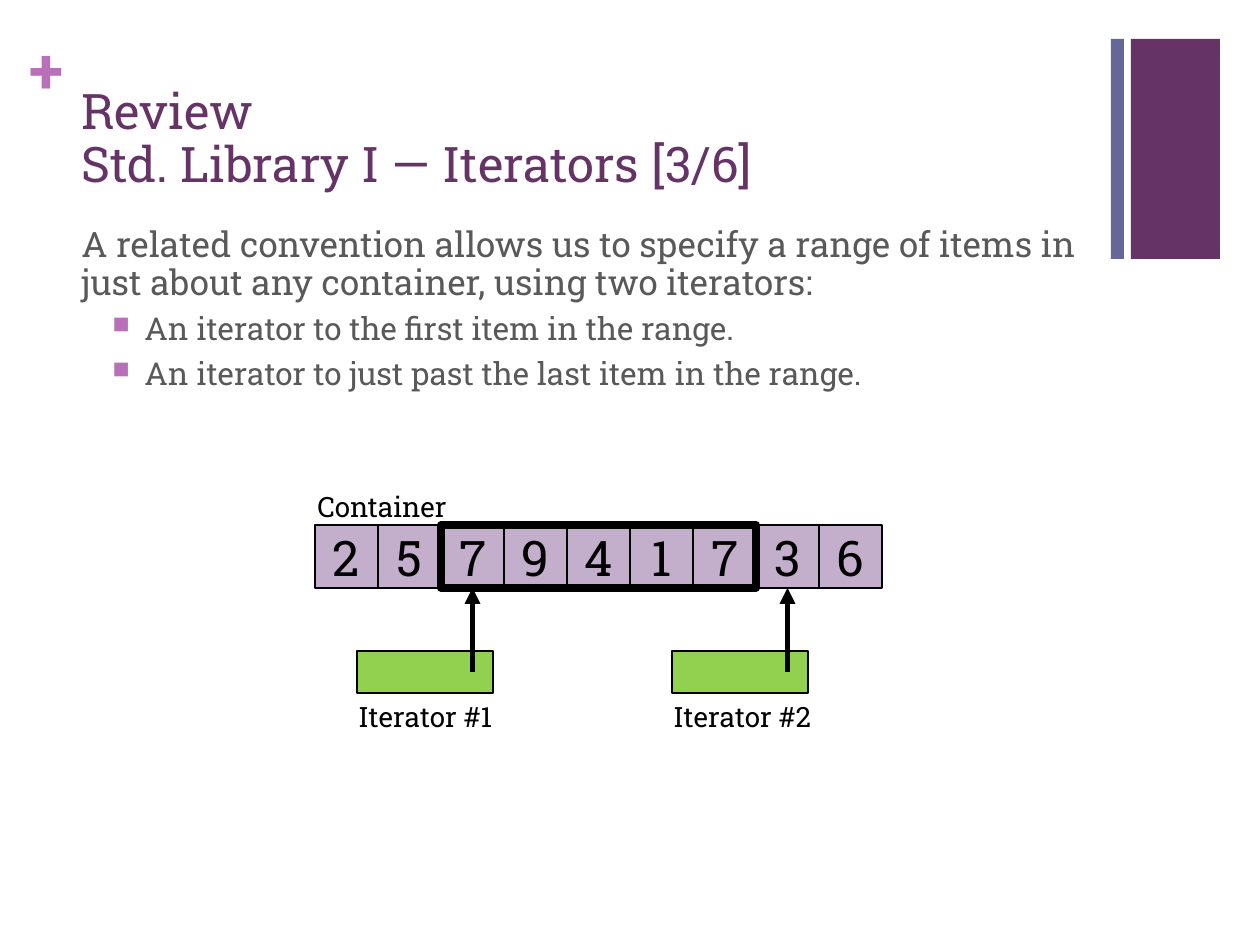
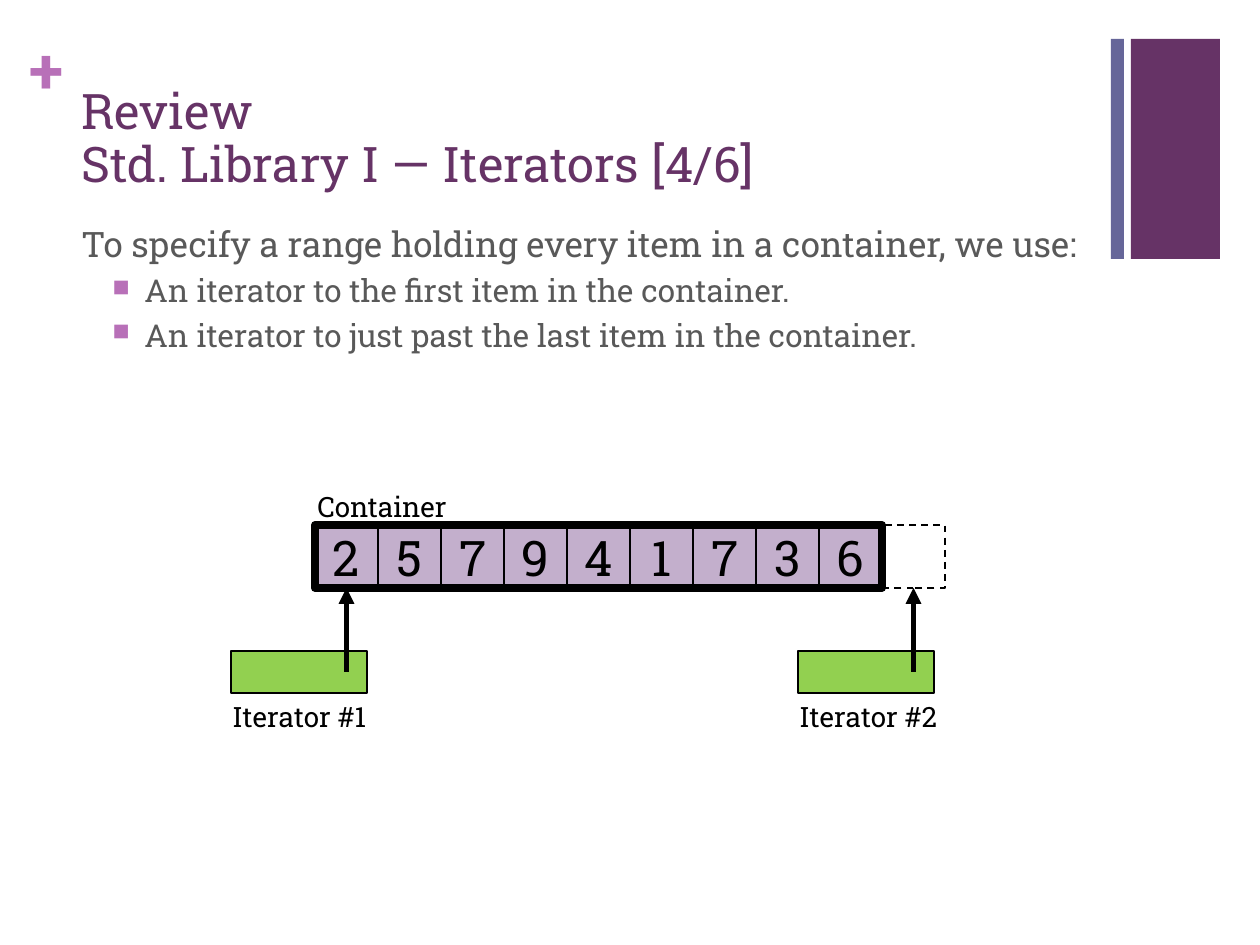
import dataclasses

import lxml.etree
import pptx
import pptx.dml.color
import pptx.enum.dml
import pptx.enum.shapes
import pptx.enum.text
import pptx.oxml
import pptx.oxml.ns
import pptx.util

PX_PER_INCH = 126
TITLE_ONLY = 5
VALUES = [2, 5, 7, 9, 4, 1, 7, 3, 6]
CELL = 63
ROW_LEFT, ROW_TOP = 315, 525


@dataclasses.dataclass(frozen=True)
class Theme:
    font: str = "Roboto Slab"
    purple: str = "663366"
    blue: str = "666699"
    accent: str = "B870B8"
    body: str = "595959"
    ink: str = "000000"
    cell: str = "C3AFCC"
    iterator: str = "92D050"
    plus_size: int = 36
    title_size: int = 28
    lead_size: int = 20
    bullet_size: int = 18
    label_size: int = 16
    thin: float = 1
    arrow: float = 3
    frame: float = 4.5
    line_spacing: float = 0.9


def px(n):
    return pptx.util.Emu(round(n * 914400 / PX_PER_INCH))


def rgb(color):
    return pptx.dml.color.RGBColor.from_string(color)


def add_xml(parent, tag, **attrs):
    return lxml.etree.SubElement(parent, pptx.oxml.ns.qn(tag), attrs)


class Deck:
    """Holds the theme and the slide being drawn; lengths are in px."""

    def __init__(self, theme):
        self.theme = theme
        self.prs = pptx.Presentation()
        self.prs.slide_width, self.prs.slide_height = px(1260), px(945)
        self.s = None

    def new_slide(self, *title_lines):
        t = self.theme
        self.s = self.prs.slides.add_slide(self.prs.slide_layouts[TITLE_ONLY])
        self.title(title_lines)
        self.rect(1131, 39, 89, 220, fill=t.purple)
        self.rect(1111, 39, 13, 220, fill=t.blue)
        tf = self.text_box(30, 31, 37, 77, inset=0)
        self.run(tf.paragraphs[0], "+", t.plus_size, t.accent, bold=True)

    def run(self, p, text, size, color, bold=False):
        r = p.add_run()
        r.text = text
        r.font.name = self.theme.font
        r.font.size = pptx.util.Pt(size)
        r.font.bold = bold
        r.font.color.rgb = rgb(color)

    def title(self, lines):
        sp = self.s.shapes.title
        sp.left, sp.top, sp.width, sp.height = px(69), px(67), px(1041), px(132)
        tf = sp.text_frame
        tf.word_wrap = True
        tf.auto_size = pptx.enum.text.MSO_AUTO_SIZE.NONE
        tf.vertical_anchor = pptx.enum.text.MSO_ANCHOR.BOTTOM
        p = tf.paragraphs[0]
        p.alignment = pptx.enum.text.PP_ALIGN.LEFT
        p.line_spacing = self.theme.line_spacing
        for i, line in enumerate(lines):
            if i:
                p.add_line_break()
            self.run(p, line, self.theme.title_size, self.theme.purple)

    def text_box(self, x, y, w, h, inset=None):
        tf = self.s.shapes.add_textbox(px(x), px(y), px(w), px(h)).text_frame
        tf.word_wrap = True
        if inset is not None:
            tf.margin_left = tf.margin_right = px(inset)
            tf.margin_top = tf.margin_bottom = px(inset)
        return tf

    def label(self, x, y, w, text):
        tf = self.text_box(x, y, w, 47)
        self.run(tf.paragraphs[0], text, self.theme.label_size, self.theme.ink)

    def body(self, lead, bullets):
        t = self.theme
        tf = self.text_box(69, 221, 1041, 651)
        p = tf.paragraphs[0]
        p.line_spacing = t.line_spacing
        self.run(p, lead, t.lead_size, t.body)
        for text in bullets:
            p = tf.add_paragraph()
            p.line_spacing = t.line_spacing
            p.space_before = pptx.util.Pt(6)
            self.bullet(p)
            self.run(p, text, t.bullet_size, t.body)

    def bullet(self, p):
        ppr = p._p.get_or_add_pPr()
        ppr.set("marL", str(px(63)))
        ppr.set("indent", str(-px(32)))
        color = add_xml(ppr, "a:buClr")
        add_xml(color, "a:srgbClr", val=self.theme.accent)
        add_xml(ppr, "a:buSzPct", val="75000")
        add_xml(ppr, "a:buChar", char="■")

    def rect(self, x, y, w, h, fill=None, line=None, dashed=False, text=""):
        """Draw a rectangle; line is the outline width in points, if any."""
        kind = pptx.enum.shapes.MSO_SHAPE.RECTANGLE
        sp = self.s.shapes.add_shape(kind, px(x), px(y), px(w), px(h))
        sp.shadow.inherit = False
        if fill:
            sp.fill.solid()
            sp.fill.fore_color.rgb = rgb(fill)
        else:
            sp.fill.background()
        if line:
            sp.line.color.rgb = rgb(self.theme.ink)
            sp.line.width = pptx.util.Pt(line)
        else:
            sp.line.fill.background()
        if dashed:
            sp.line.dash_style = pptx.enum.dml.MSO_LINE.DASH
        if text:
            sp.text_frame.vertical_anchor = pptx.enum.text.MSO_ANCHOR.MIDDLE
            p = sp.text_frame.paragraphs[0]
            p.alignment = pptx.enum.text.PP_ALIGN.CENTER
            self.run(p, text, self.theme.title_size, self.theme.ink)
        return sp

    def arrow_up_to(self, target, length):
        """Draw a vertical arrow ending at the middle of target's lower side."""
        x = target.left + target.width // 2
        y = target.top + target.height
        c = self.s.shapes.add_connector(
            pptx.enum.shapes.MSO_CONNECTOR.STRAIGHT, x, y + px(length), x, y)
        c.end_connect(target, 2)
        c.line.color.rgb = rgb(self.theme.ink)
        c.line.width = pptx.util.Pt(self.theme.arrow)
        add_xml(c.line._get_or_add_ln(), "a:tailEnd", type="triangle")
        add_xml(c._element.spPr, "a:effectLst")

    def container(self, first, past):
        """Draw the container with the range [first, past) framed."""
        t = self.theme
        slots = [self.rect(ROW_LEFT + i * CELL, ROW_TOP, CELL, CELL, t.cell,
                           t.thin, text=str(value))
                 for i, value in enumerate(VALUES)]
        if past == len(VALUES):
            slots.append(self.rect(ROW_LEFT + past * CELL, ROW_TOP, CELL, CELL,
                                   line=t.thin, dashed=True))
        self.label(ROW_LEFT - 10, 483, 315, "Container")
        self.rect(ROW_LEFT + first * CELL, ROW_TOP, (past - first) * CELL, CELL,
                  line=t.frame)
        for number, index in enumerate((first, past), start=1):
            slot_left = ROW_LEFT + index * CELL
            self.label(slot_left - 95, 693, 189, f"Iterator #{number}")
            self.rect(slot_left - 84, 651, 136, 42, t.iterator, t.thin)
            self.arrow_up_to(slots[index], 84)


def main():
    deck = Deck(Theme())

    deck.new_slide("Review", "Std. Library I — Iterators [3/6]")
    deck.body("A related convention allows us to specify a range of items in "
              "just about any container, using two iterators:",
              ["An iterator to the first item in the range.",
               "An iterator to just past the last item in the range."])
    deck.container(first=2, past=7)

    deck.new_slide("Review", "Std. Library I — Iterators [4/6]")
    deck.body("To specify a range holding every item in a container, we use:",
              ["An iterator to the first item in the container.",
               "An iterator to just past the last item in the container."])
    deck.container(first=0, past=len(VALUES))

    deck.prs.save("out.pptx")


if __name__ == "__main__":
    main()
